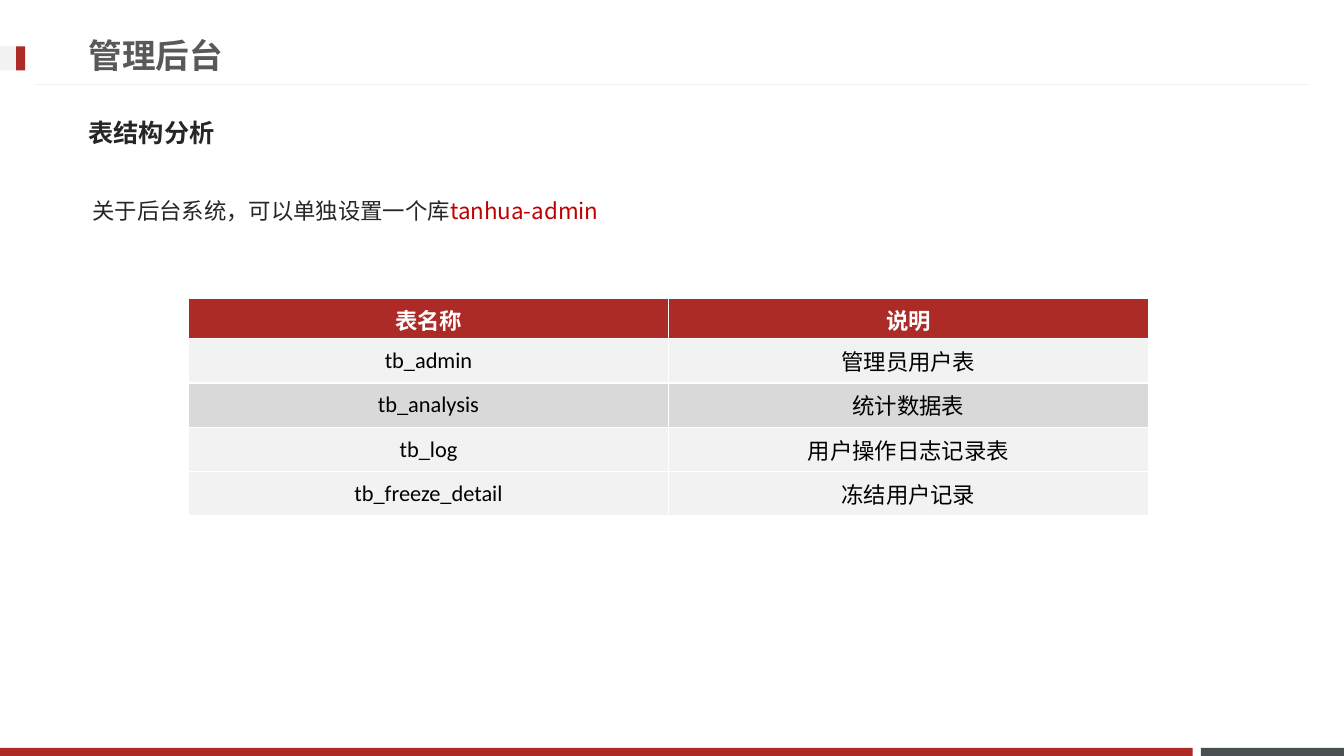
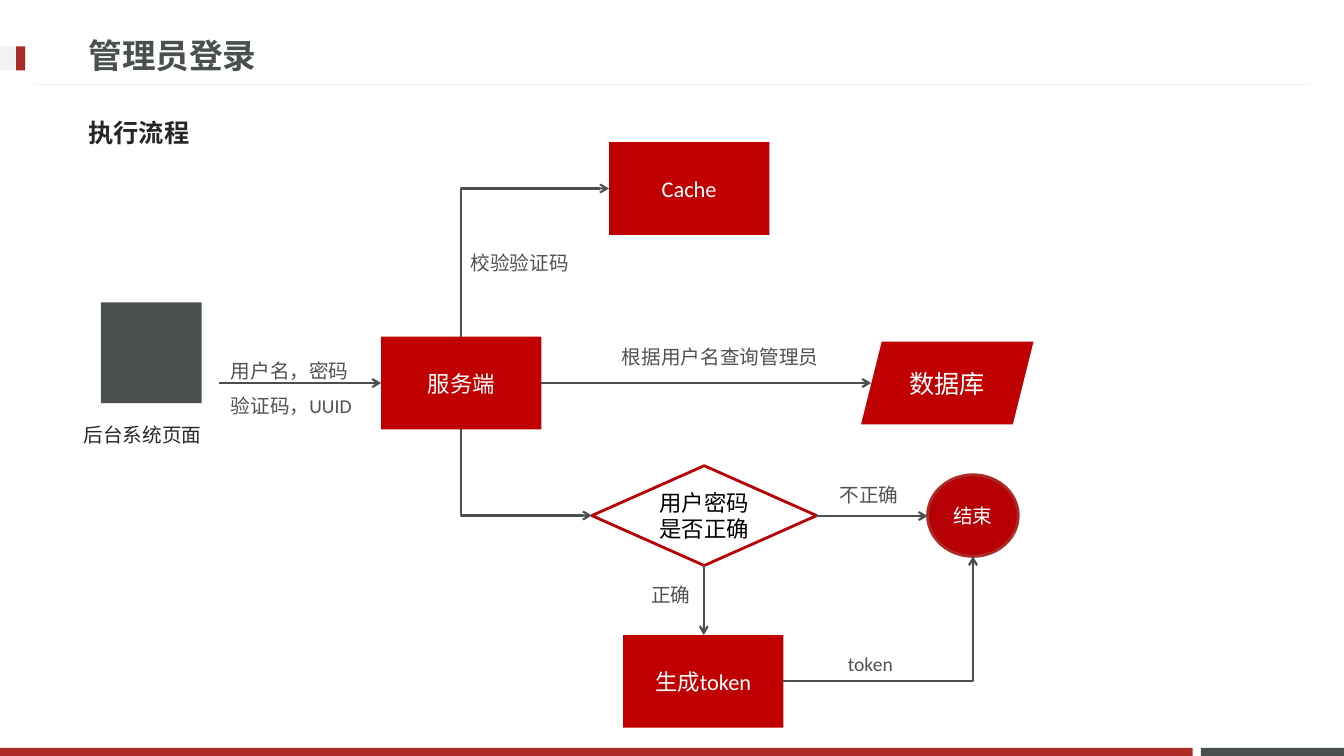
"""Build two slides on an admin back end: its tables and its login flow."""
import dataclasses
import math
import lxml.etree
import pptx
import pptx.dml.color
import pptx.enum.shapes
import pptx.enum.text
import pptx.oxml.ns
import pptx.util

Inches = pptx.util.Inches
Pt = pptx.util.Pt
SHAPES = pptx.enum.shapes.MSO_SHAPE
CONNECTORS = pptx.enum.shapes.MSO_CONNECTOR
MIDDLE = pptx.enum.text.MSO_ANCHOR.MIDDLE
TOP = pptx.enum.text.MSO_ANCHOR.TOP
LEFT = pptx.enum.text.PP_ALIGN.LEFT
CENTER = pptx.enum.text.PP_ALIGN.CENTER
qn = pptx.oxml.ns.qn


@dataclasses.dataclass(frozen=True)
class Theme:
    brand: str = "AD2B26"
    red: str = "C00000"
    outline: str = "B60206"
    end_fill: str = "B70006"
    slate: str = "49504F"
    title_gray: str = "595959"
    label_gray: str = "515151"
    ink: str = "262626"
    black: str = "000000"
    white: str = "FFFFFF"
    pale: str = "F2F2F2"
    band: str = "D9D9D9"
    title_size: int = 24
    heading_size: int = 18
    body_size: int = 16
    label_size: int = 14
    title_font: str = "DejaVu Sans Mono"
    body_font: str = "Noto Sans CJK JP"
    shape_font: str = "Calibri"


theme = Theme()


def write(frame, paragraphs, size, color, font=theme.shape_font, bold=False,
          align=LEFT, anchor=TOP, wrap=True, spacing=None, before=None):
    """Fill a frame with paragraphs, each a list of texts or (text, colour) runs."""
    for name, value in {"word_wrap": wrap, "vertical_anchor": anchor}.items():
        setattr(frame, name, value)
    for index, runs in enumerate(paragraphs):
        paragraph = frame.add_paragraph() if index else frame.paragraphs[0]
        layout = {"alignment": align, "line_spacing": spacing, "space_before": before}
        for name, value in layout.items():
            setattr(paragraph, name, value)
        for part in runs:
            text, run_color = part if isinstance(part, tuple) else (part, color)
            run = paragraph.add_run()
            run.text = text
            for name, value in {"size": Pt(size), "bold": bold, "name": font}.items():
                setattr(run.font, name, value)
            run.font.color.rgb = pptx.dml.color.RGBColor.from_string(run_color)
            east_asian = lxml.etree.SubElement(run.font._element, qn("a:ea"))
            east_asian.set("typeface", theme.body_font)


def paint(shape, fill=None, line=None, width=1.5, arrow=None):
    """Set fill, line and arrowhead, and take the shadow away."""
    if hasattr(shape, "fill"):
        shape.shadow.inherit = False
        if fill:
            shape.fill.solid()
            shape.fill.fore_color.rgb = pptx.dml.color.RGBColor.from_string(fill)
        else:
            shape.fill.background()
    if line:
        shape.line.color.rgb = pptx.dml.color.RGBColor.from_string(line)
        shape.line.width = Pt(width)
    else:
        shape.line.fill.background()
    if arrow:
        head = lxml.etree.SubElement(shape.line._get_or_add_ln(), qn(arrow))
        head.set("type", "arrow")
    if not hasattr(shape, "fill"):
        lxml.etree.SubElement(shape._element.spPr, qn("a:effectLst"))


presentation = pptx.Presentation()
presentation.slide_width = Inches(13.33)
presentation.slide_height = Inches(7.5)

bands = [
    (11.91, 7.42, 1.42, 0.08, theme.slate),
    (0, 7.42, 11.83, 0.08, theme.brand),
    (0, 0.46, 0.25, 0.24, theme.pale),
    (0.16, 0.46, 0.09, 0.24, theme.brand),
]
headings = [
    ("管理后台", theme.title_gray, "表结构分析"),
    ("管理员登录", theme.slate, "执行流程"),
]
slides = []
for title, title_color, heading in headings:
    slide = presentation.slides.add_slide(presentation.slide_layouts[6])
    for *box, color in bands:
        paint(slide.shapes.add_shape(SHAPES.RECTANGLE, *map(Inches, box)), color)
    rule = slide.shapes.add_connector(
        CONNECTORS.STRAIGHT, *map(Inches, (12.98, 0.84, 0.35, 0.84)))
    paint(rule, line=theme.pale, width=0.75)
    title_box = slide.shapes.add_textbox(*map(Inches, (0.78, 0.26, 9.59, 0.57)))
    write(title_box.text_frame, [[title]], theme.title_size, title_color,
          theme.title_font, bold=True, anchor=MIDDLE)
    heading_box = slide.shapes.add_textbox(*map(Inches, (0.78, 1.03, 11.7, 0.57)))
    write(heading_box.text_frame, [[heading]], theme.heading_size, theme.ink,
          theme.body_font, bold=True, anchor=MIDDLE, before=Pt(3.6))
    slides.append(slide)
table_slide, flow_slide = slides

intro = table_slide.shapes.add_textbox(*map(Inches, (0.82, 1.77, 11.7, 0.95)))
write(intro.text_frame, [["关于后台系统，可以单独设置一个库", ("tanhua-admin", theme.red)]],
      theme.body_size, theme.ink, theme.body_font, spacing=1.5, before=Pt(3.2))

table_rows = [
    ("表名称", "说明", theme.brand),
    ("tb_admin", "管理员用户表", theme.pale),
    ("tb_analysis", "统计数据表", theme.band),
    ("tb_log", "用户操作日志记录表", theme.pale),
    ("tb_freeze_detail", "冻结用户记录", theme.pale),
]
table = table_slide.shapes.add_table(
    len(table_rows), 2, *map(Inches, (1.87, 2.96, 9.52, 2.16))).table
for row_index, (*texts, fill) in enumerate(table_rows):
    is_header = row_index == 0
    table.rows[row_index].height = Inches(0.4 if is_header else 0.44)
    for column_index, text in enumerate(texts):
        cell = table.cell(row_index, column_index)
        cell.fill.solid()
        cell.fill.fore_color.rgb = pptx.dml.color.RGBColor.from_string(fill)
        write(cell.text_frame, [[text]], theme.body_size,
              theme.white if is_header else theme.black, bold=is_header, align=CENTER)
        cell.vertical_anchor = MIDDLE

node_width, node_height = 1.59, 0.92
red_box = {"fill": theme.red}
nodes = [
    ("cache", SHAPES.RECTANGLE, (6.04, 1.41, node_width, node_height), "Cache",
     theme.body_size, theme.white, red_box),
    ("server", SHAPES.RECTANGLE, (3.78, 3.34, node_width, node_height), "服务端",
     theme.body_size, theme.white, red_box),
    ("check", SHAPES.DIAMOND, (5.87, 4.62, 2.23, 0.99), "用户密码是否正确",
     theme.body_size, theme.black, {"line": theme.outline, "width": 2}),
    ("token", SHAPES.RECTANGLE, (6.18, 6.3, node_width, node_height), "生成token",
     theme.body_size, theme.white, red_box),
    ("database", SHAPES.PARALLELOGRAM, (8.54, 3.39, 1.71, 0.82), "数据库",
     theme.heading_size, theme.white, red_box),
    ("end", SHAPES.OVAL, (9.2, 4.71, 0.9, 0.81), "结束", theme.label_size,
     theme.white, {"fill": theme.end_fill, "line": theme.brand, "width": 2}),
]
flow = {}
for name, kind, box, text, size, color, look in nodes:
    flow[name] = flow_slide.shapes.add_shape(kind, *map(Inches, box))
    paint(flow[name], **look)
    write(flow[name].text_frame, [[text]], size, color, align=CENTER, anchor=MIDDLE)

straight_arrows = [
    (2.17, 3.8, 3.78, 3.8),
    (5.37, 3.8, 8.64, 3.8),
    (6.98, 5.61, 6.98, 6.3),
    (8.09, 5.12, 9.2, 5.12),
]
for ends in straight_arrows:
    arrow = flow_slide.shapes.add_connector(CONNECTORS.STRAIGHT, *map(Inches, ends))
    paint(arrow, line=theme.slate, arrow="a:tailEnd")

top, left, bottom, right = range(4)
bent_arrows = [
    ("cache", left, "server", top, "a:headEnd"),
    ("check", left, "server", bottom, "a:headEnd"),
    ("token", right, "end", bottom, "a:tailEnd"),
]
for begin, begin_side, end, end_side, arrow_end in bent_arrows:
    arrow = flow_slide.shapes.add_connector(CONNECTORS.ELBOW, 0, 0, 0, 0)
    arrow.begin_connect(flow[begin], begin_side)
    arrow.end_connect(flow[end], end_side)
    arrow._element.spPr.find(qn("a:prstGeom")).set("prst", "bentConnector2")
    if end == "end":
        for site in arrow._element.iter(qn("a:endCxn")):
            site.set("idx", str(end_side * 2))
    paint(arrow, line=theme.slate, arrow=arrow_end)

labels = [
    ((4.57, 2.44, 1.18, 0.34), ["校验验证码"], False, None),
    ((2.19, 3.39, 1.41, 0.77), ["用户名，密码", "验证码，UUID"], True, 1.5),
    ((6.07, 3.37, 2.17, 0.34), ["根据用户名查询管理员"], False, None),
    ((6.36, 5.73, 0.68, 0.34), ["正确"], True, None),
    ((8.31, 6.42, 0.65, 0.34), ["token"], False, None),
    ((8.23, 4.74, 0.97, 0.34), ["不正确"], True, None),
]
for box, lines, wrap, spacing in labels:
    label = flow_slide.shapes.add_textbox(*map(Inches, box))
    write(label.text_frame, [[line] for line in lines], theme.label_size,
          theme.label_gray, wrap=wrap, spacing=spacing)

page_label = flow_slide.shapes.add_textbox(*map(Inches, (0.73, 4.03, 1.44, 0.47)))
write(page_label.text_frame, [["后台系统页面"]], theme.label_size, theme.ink,
      theme.body_font, spacing=1.5, before=Pt(2.8))

screen_outlines = [
    [(1.45, 3.78), (1.32, 3.93), (1.57, 3.93)],
    [(1.43, 3.7), (1.47, 3.7), (1.67, 3.94), (1.67, 3.97), (1.64, 3.99),
     (1.25, 3.99), (1.22, 3.97), (1.22, 3.94)],
    [(0.95, 3.17), (1.94, 3.17), (1.96, 3.19), (1.96, 3.79), (1.94, 3.81),
     (1.71, 3.81), (1.69, 3.78), (1.71, 3.75), (1.89, 3.75), (1.89, 3.24),
     (1, 3.24), (1, 3.74), (1.2, 3.74), (1.22, 3.78), (1.2, 3.81),
     (0.95, 3.81), (0.93, 3.79), (0.93, 3.19)],
]
wave_x = [1.2 + 0.49 * step / 20 for step in range(21)]
for middle in (3.44, 3.53):
    crest = [(x, middle + 0.02 * math.sin(math.tau * (x - 1.2) / 0.44)) for x in wave_x]
    screen_outlines.append([(x, y - 0.02) for x, y in crest]
                           + [(x, y + 0.02) for x, y in reversed(crest)])
builder = flow_slide.shapes.build_freeform(
    *screen_outlines[0][0], scale=float(Inches(1)))
for outline in screen_outlines:
    builder.move_to(*outline[0])
    builder.add_line_segments(outline[1:], close=True)
paint(builder.convert_to_shape(), theme.slate)

presentation.save("out.pptx")
